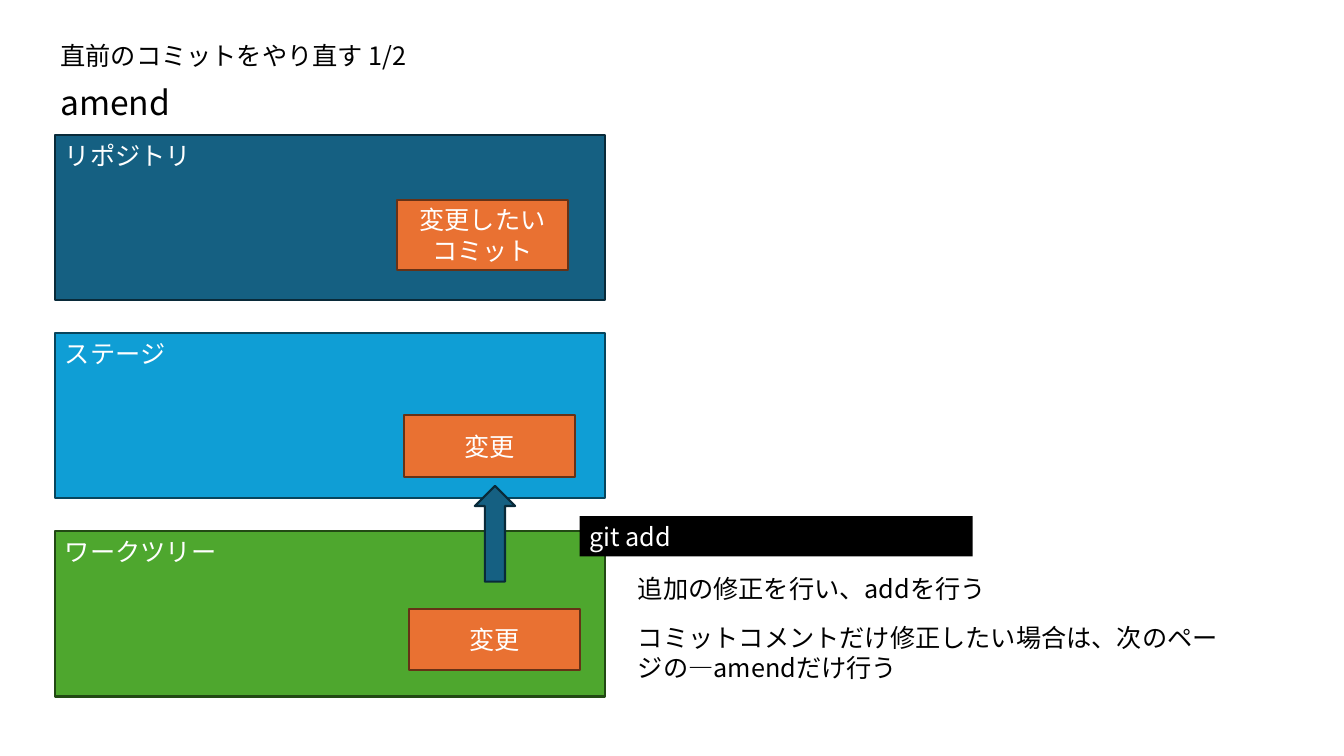
"""Build the slide on redoing the last commit with amend."""
from lxml import etree
from pptx import Presentation, util as u
from pptx.dml.color import RGBColor
from pptx.enum import shapes, text
from pptx.oxml import ns

FONT = "Noto Sans CJK JP"
COLORS = {
    "black": "000000", "white": "FFFFFF",
    "navy": "156082", "navy_line": "092A39",
    "blue": "0F9ED5", "blue_line": "07455D",
    "green": "4EA72E", "green_line": "224914",
    "orange": "E97132", "orange_line": "663216",
}
LEFT, CENTER = text.PP_ALIGN.LEFT, text.PP_ALIGN.CENTER
TOP, MIDDLE = text.MSO_ANCHOR.TOP, text.MSO_ANCHOR.MIDDLE

presentation = Presentation()
presentation.slide_width = u.Inches(13.33)
presentation.slide_height = u.Inches(7.5)
column = presentation.slide_width / 100
row = presentation.slide_height / 100
slide = presentation.slides.add_slide(presentation.slide_layouts[5])


def write(shape, words, color, size=18, align=LEFT, anchor=TOP, wrap=True):
    frame = shape.text_frame
    frame.text = words
    frame.auto_size = text.MSO_AUTO_SIZE.NONE
    frame.word_wrap = wrap
    frame.vertical_anchor = anchor
    for paragraph in frame.paragraphs:
        paragraph.alignment = align
        for run in paragraph.runs:
            run.font.name = FONT
            run.font.size = u.Pt(size)
            run.font.color.rgb = RGBColor.from_string(COLORS[color])
            east_asian = etree.SubElement(run.font._element, ns.qn("a:ea"))
            east_asian.set("typeface", FONT)


def add_block(kind, left, top, width, height, color, outlined=True):
    shape = slide.shapes.add_shape(kind, int(left * column), int(top * row),
                                   int(width * column), int(height * row))
    shape.shadow.inherit = False
    shape.fill.solid()
    shape.fill.fore_color.rgb = RGBColor.from_string(COLORS[color])
    if outlined:
        shape.line.color.rgb = RGBColor.from_string(COLORS[color + "_line"])
        shape.line.width = u.Pt(1.5)
    else:
        shape.line.fill.background()
    return shape


RECTANGLE = shapes.MSO_SHAPE.RECTANGLE

title = slide.shapes.title
title.left, title.top = int(3.75 * column), int(4.67 * row)
title.width, title.height = int(31.6 * column), int(5.33 * row)
write(title, "直前のコミットをやり直す 1/2", "black")

areas = [("リポジトリ", "navy"), ("ステージ", "blue"), ("ワークツリー", "green")]
for index, (name, color) in enumerate(areas):
    area = add_block(RECTANGLE, 4.1, 17.87 + 26.2 * index, 40.9, 21.87, color)
    write(area, name, "white")

changes = [
    ("変更したい\nコミット", 29.55, 26.4, 9.33),
    ("変更", 30.08, 54.93, 8.13),
    ("変更", 30.45, 80.53, 8.13),
]
for words, left, top, height in changes:
    change = add_block(RECTANGLE, left, top, 12.7, height, "orange")
    write(change, words, "white", align=CENTER, anchor=MIDDLE)

add_block(shapes.MSO_SHAPE.UP_ARROW, 35.33, 64.27, 3, 12.67, "navy")
command = add_block(RECTANGLE, 43.13, 68.27, 29.25, 5.33, "black", outlined=False)
write(command, "git add", "white")

notes = [
    ("amend", 3.75, 10.13, 10, 6.67, 24, False),
    ("追加の修正を行い、addを行う", 46.73, 75.2, 31, 5.33, 18, True),
    ("コミットコメントだけ修正したい場合は、次のページの—amendだけ行う",
     46.73, 81.6, 44.7, 9.47, 18, True),
]
for words, left, top, width, height, size, wrap in notes:
    note = slide.shapes.add_textbox(int(left * column), int(top * row),
                                    int(width * column), int(height * row))
    write(note, words, "black", size=size, wrap=wrap)

presentation.save("out.pptx")
